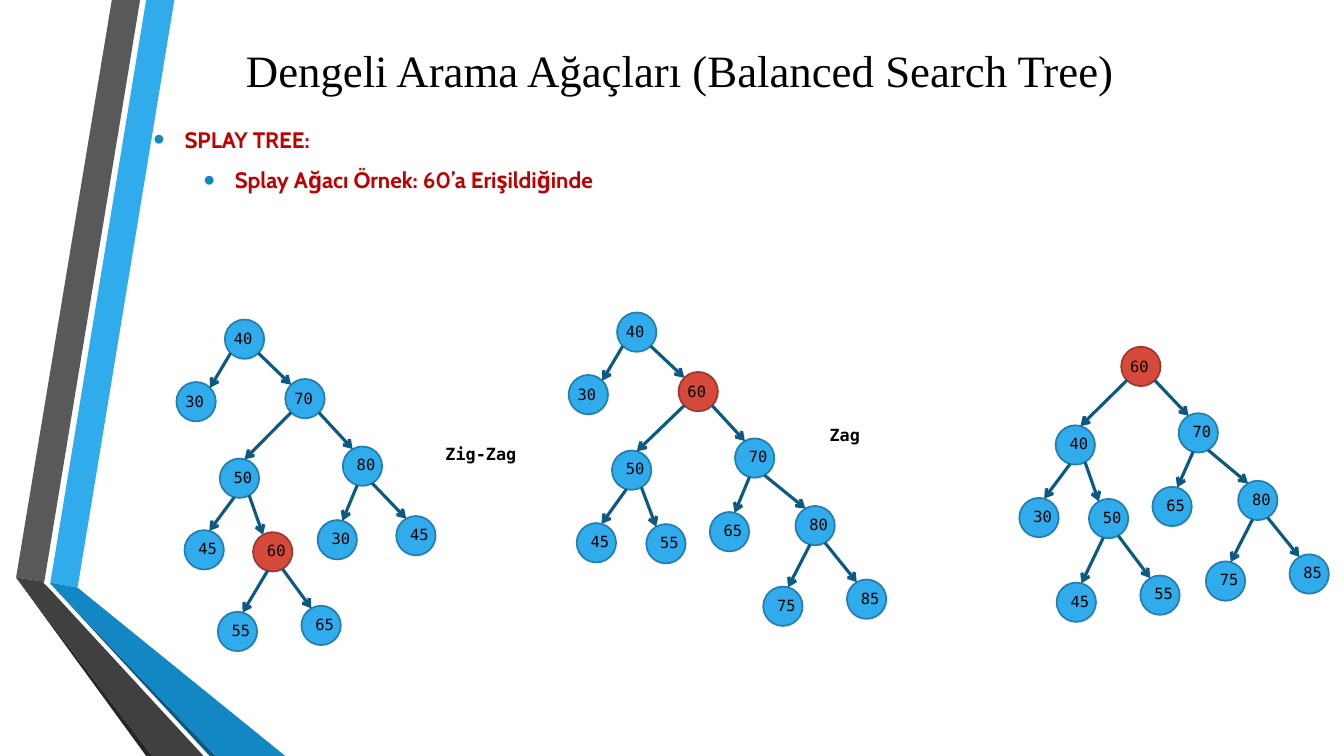
"""Builds a slide showing how a splay tree changes when key 60 is accessed."""
from dataclasses import dataclass
from math import cos, radians, sin

from lxml.etree import SubElement
from pptx import Presentation
from pptx.dml.color import RGBColor
from pptx.enum.shapes import MSO_CONNECTOR as CONN, MSO_SHAPE as SHAPE
from pptx.enum.text import MSO_ANCHOR as ANCHOR, MSO_AUTO_SIZE as AUTO, PP_ALIGN as ALIGN
from pptx.oxml.ns import qn
from pptx.util import Pt

TITLE = "Dengeli Arama Ağaçları (Balanced Search Tree)"
BULLETS = ["SPLAY TREE:", "Splay Ağacı Örnek: 60’a Erişildiğinde"]
STEPS = [("Zig-Zag", 432, 435), ("Zag", 813, 416)]
ACCESSED = 60

# Each tree: number of upright nodes, then nodes as (key, left, top, parent index).
TREES = [
    (3, [(40, 223, 317, None), (30, 175, 379, 0), (70, 283, 376, 0),
         (50, 218, 455, 2), (80, 340, 443, 2), (45, 183, 526, 3),
         (60, 251, 528, 3), (30, 315, 516, 4), (45, 393, 512, 4),
         (55, 216, 607, 6), (65, 299, 601, 6)]),
    (3, [(40, 612, 310, None), (30, 564, 372, 0), (60, 673, 369, 0),
         (50, 607, 447, 2), (70, 729, 435, 2), (45, 572, 519, 3),
         (55, 641, 520, 3), (65, 704, 508, 4), (80, 789, 502, 4),
         (75, 757, 582, 8), (85, 840, 575, 8)]),
    (1, [(60, 1112, 344, None), (40, 1047, 422, 0), (70, 1169, 410, 0),
         (30, 1011, 494, 1), (50, 1080, 495, 1), (65, 1143, 483, 2),
         (80, 1228, 477, 2), (45, 1048, 578, 4), (55, 1131, 571, 4),
         (75, 1196, 557, 6), (85, 1279, 550, 6)]),
]

RIBBONS = [
    ("30ACEC", [(50, 578), (77, 583), (173, 0), (145, 0)]),
    ("595959", [(139, 0), (111, 0), (16, 573), (44, 577)]),
    ("262626", [(16, 573), (145, 750), (151, 750)]),
    ("0C5A82", [(50, 579), (208, 750), (214, 750)]),
    ("1287C3", [(50, 578), (50, 579), (214, 750), (283, 750), (77, 583)]),
    ("404040", [(202, 750), (48, 583), (43, 578), (44, 577), (16, 573), (151, 750)]),
]


@dataclass(frozen=True)
class Theme:
    ink: str = "000000"
    accent: str = "C00000"
    bullet: str = "1287C3"
    edge: str = "0C5A82"
    node: tuple = ("30ACEC", "247FAF")
    hit: tuple = ("D64A3B", "9E372C")
    title_font: str = "Times New Roman"
    body_font: str = "Cabin"
    mono_font: str = "DejaVu Sans Mono"
    title_size: int = 32
    body_size: int = 16
    step_size: int = 12
    key_size: int = 11


T = Theme()
PX = 9144
WIDTH, HEIGHT = 1333, 750
NODE = 39
TILT = -29.7


def emu(*lengths):
    return [round(v * PX) for v in lengths]


def rgb(code):
    return RGBColor.from_string(code)


def add_run(p, text, font, size, color, bold=False):
    r = p.add_run()
    r.text = text
    r.font.name, r.font.size, r.font.bold = font, Pt(size), bold
    r.font.color.rgb = rgb(color)


def place(sp, *box):
    sp.left, sp.top, sp.width, sp.height = emu(*box)


def add_label(shapes, text, box, size, bold=False):
    tf = shapes.add_textbox(*emu(*box)).text_frame
    tf.word_wrap = True
    add_run(tf.paragraphs[0], text, T.mono_font, size, T.ink, bold)


def add_ribbons(shapes):
    for color, points in RIBBONS:
        builder = shapes.build_freeform(*points[0], scale=PX)
        builder.add_line_segments(points[1:], close=True)
        sp = builder.convert_to_shape()
        sp.shadow.inherit = False
        sp.fill.solid()
        sp.fill.fore_color.rgb = rgb(color)
        sp.line.fill.background()


def add_node(shapes, key, x, y, tilted):
    fill, line = T.hit if key == ACCESSED else T.node
    sp = shapes.add_shape(SHAPE.OVAL, *emu(x, y, NODE, NODE))
    sp.rotation = TILT if tilted else 0
    sp.shadow.inherit = False
    sp.fill.solid()
    sp.fill.fore_color.rgb = rgb(fill)
    sp.line.color.rgb = rgb(line)
    sp.line.width = Pt(1.25)
    box = (x + 4, y + 4, 40, 29) if tilted else (x - 1, y + 5, NODE, 29)
    add_label(shapes, str(key), box, T.key_size)


def rim_point(x, y, angle, tilted):
    a = radians(angle + (TILT if tilted else 0))
    return x + NODE / 2 * (1 + cos(a)), y + NODE / 2 * (1 + sin(a))


def add_edge(shapes, start, end):
    cx = shapes.add_connector(CONN.STRAIGHT, *emu(*start, *end))
    cx.line.color.rgb = rgb(T.edge)
    cx.line.width = Pt(2.25)
    props = cx.element.spPr
    SubElement(props.find(qn("a:ln")), qn("a:tailEnd"), type="arrow")
    SubElement(props, qn("a:effectLst"))


def add_tree(shapes, upright, nodes):
    for i, (key, x, y, parent) in enumerate(nodes):
        tilted = i >= upright
        add_node(shapes, key, x, y, tilted)
        if parent is None:
            continue
        px, py = nodes[parent][1:3]
        parent_tilted = parent >= upright
        if x < px:
            leave, arrive = 135, 315
        else:
            leave = 90 if parent_tilted else 45
            arrive = 270 if tilted else 225
        add_edge(shapes, rim_point(px, py, leave, parent_tilted),
                 rim_point(x, y, arrive, tilted))


def add_bullet(p, text, level):
    p.level = level
    p.alignment = ALIGN.JUSTIFY
    p.line_spacing = 1.5
    p.space_before = p.space_after = Pt(0)
    pPr = p._p.get_or_add_pPr()
    indent, left = emu(-31, 31 + 50 * level)
    pPr.set("marL", str(left))
    pPr.set("indent", str(indent))
    SubElement(SubElement(pPr, qn("a:buClr")), qn("a:srgbClr"), val=T.bullet)
    SubElement(pPr, qn("a:buSzPct"), val="145000")
    SubElement(pPr, qn("a:buFont"), typeface="Arial")
    SubElement(pPr, qn("a:buChar"), char="•")
    add_run(p, text, T.body_font, T.body_size, T.accent, True)


def main():
    prs = Presentation()
    prs.slide_width, prs.slide_height = emu(WIDTH, HEIGHT)
    slide = prs.slides.add_slide(prs.slide_layouts[1])
    title, body = slide.placeholders
    add_ribbons(slide.shapes.add_group_shape().shapes)

    place(title, 155, 17, 1039, 104)
    tf = title.text_frame
    tf.auto_size, tf.vertical_anchor = AUTO.NONE, ANCHOR.MIDDLE
    tf.paragraphs[0].alignment = ALIGN.CENTER
    add_run(tf.paragraphs[0], TITLE, T.title_font, T.title_size, T.ink)

    place(body, 142, 107, 1111, 121)
    tf = body.text_frame
    tf.auto_size, tf.vertical_anchor = AUTO.NONE, ANCHOR.TOP
    for level, text in enumerate(BULLETS):
        p = tf.add_paragraph() if level else tf.paragraphs[0]
        add_bullet(p, text, level)

    for upright, nodes in TREES:
        add_tree(slide.shapes.add_group_shape().shapes, upright, nodes)
    for text, x, y in STEPS:
        add_label(slide.shapes, text, (x, y, 131, 30), T.step_size, True)
    prs.save("out.pptx")


if __name__ == "__main__":
    main()
